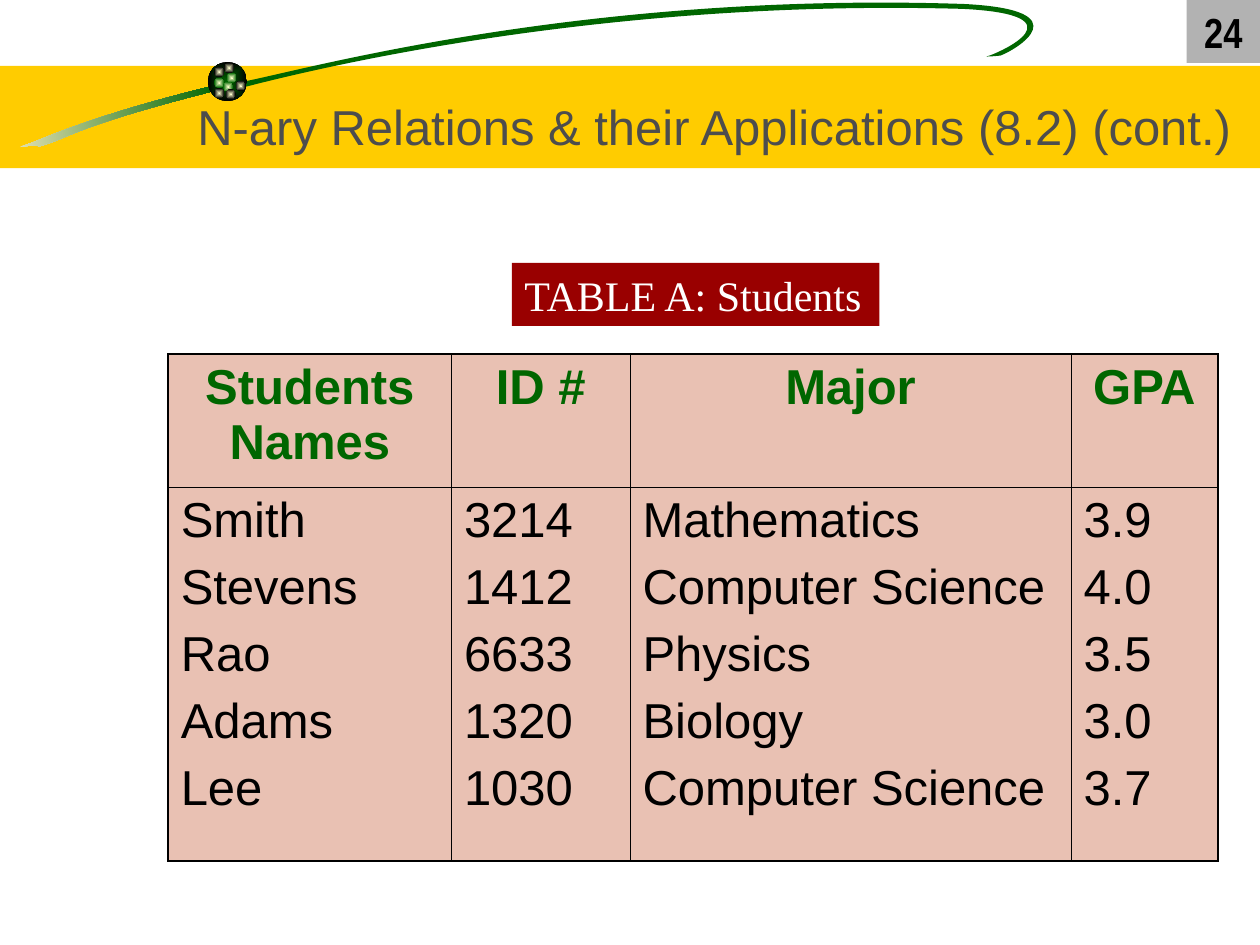
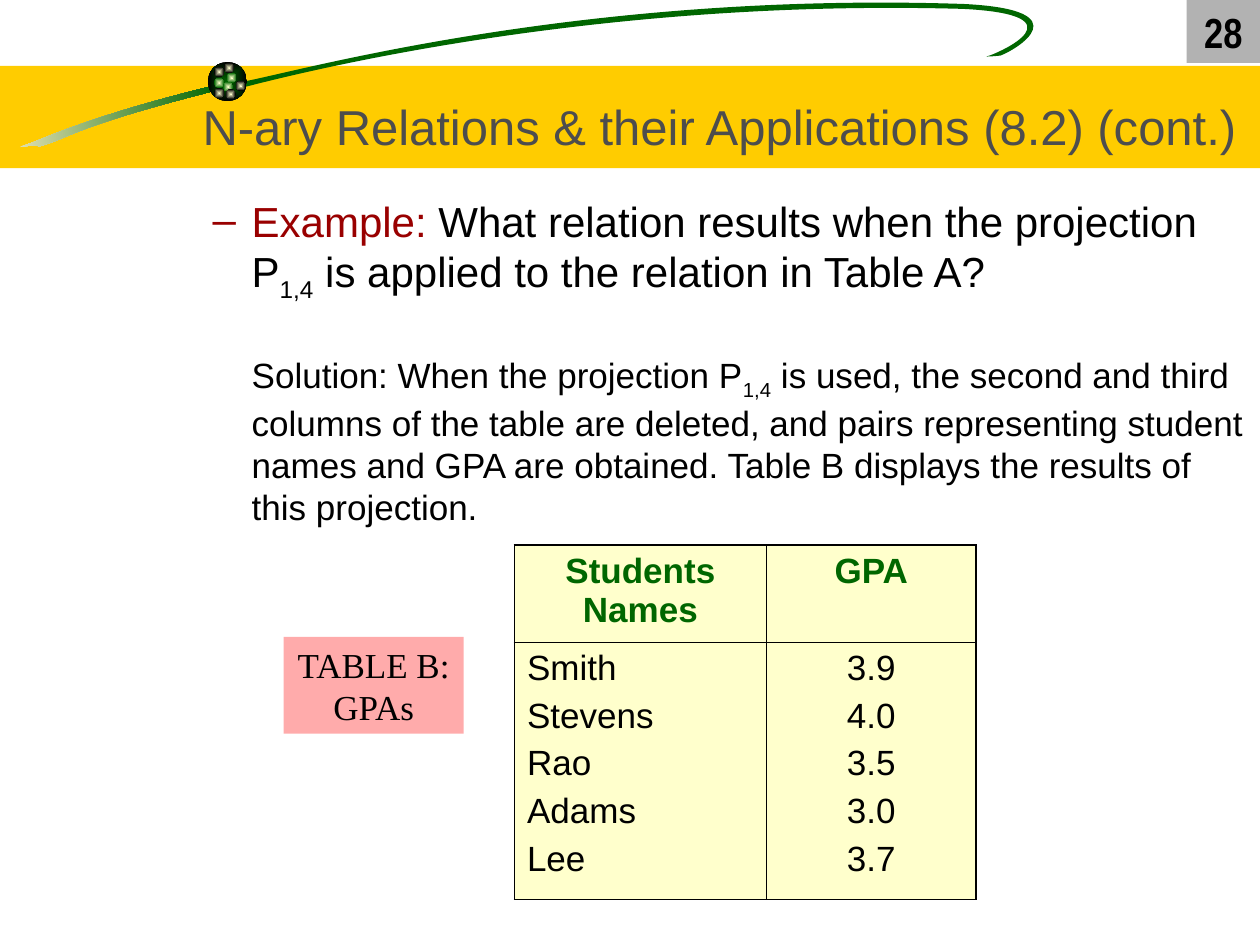
from dataclasses import dataclass
from math import cos, radians, sin

from pptx import Presentation
from pptx.dml.color import RGBColor
from pptx.enum.shapes import MSO_SHAPE
from pptx.enum.text import MSO_ANCHOR, MSO_AUTO_SIZE, PP_ALIGN
from pptx.oxml.ns import qn
from pptx.oxml.xmlchemy import OxmlElement
from pptx.presentation import Presentation as Deck
from pptx.shapes.autoshape import Shape
from pptx.slide import Slide
from pptx.table import _Cell as Cell
from pptx.text.text import _Paragraph as Paragraph
from pptx.util import Cm, Pt


@dataclass(frozen=True)
class Theme:
    band: str = "FFCC00"
    green: str = "006600"
    black: str = "000000"
    white: str = "FFFFFF"
    sand: str = "F5EBC1"
    cream: str = "FFFFCC"
    gray: str = "B2B2B2"
    title: str = "4D4D4D"
    crimson: str = "990000"
    pink: str = "FFABAB"
    salmon: str = "E9C1B3"
    sans: str = "Arial"
    narrow: str = "Arial Narrow"
    serif: str = "Times New Roman"
    large: int = 28
    medium: int = 24
    small: int = 20
    outer_border: float = 1.08
    inner_border: float = 0.45


@dataclass(frozen=True)
class Box:
    left: float
    top: float
    width: float
    height: float

    def lengths(self) -> tuple[Cm, Cm, Cm, Cm]:
        return Cm(self.left), Cm(self.top), Cm(self.width), Cm(self.height)


@dataclass(frozen=True)
class Spot:
    left: float
    top: float
    edge: str


@dataclass(frozen=True)
class Outline:
    center: tuple[float, float]
    points: tuple[tuple[float, float], ...]


@dataclass(frozen=True)
class Column:
    header: str
    values: tuple[str, ...]
    width: float
    align: PP_ALIGN = PP_ALIGN.LEFT


@dataclass(frozen=True)
class Grid:
    left: float
    top: float
    row_heights: tuple[float, float]
    columns: tuple[Column, ...]
    fill: str
    size: int
    gap: int


@dataclass(frozen=True)
class Label:
    box: Box
    text: str
    fill: str
    color: str
    size: int
    align: PP_ALIGN


THEME = Theme()
TITLE = "N-ary Relations & their Applications (8.2) (cont.)"
BAND = Box(0, 1.33, 25.4, 2.06)
PAGE_NUMBER = Box(23.92, 0, 1.48, 1.27)
BALL = Box(4.19, 1.25, 0.79, 0.79)
SPOT_SIZE = 0.2
SPOTS = (
    Spot(4.57, 1.47, THEME.green),
    Spot(4.32, 1.35, THEME.black),
    Spot(4.32, 1.57, THEME.green),
    Spot(4.5, 1.65, THEME.green),
    Spot(4.75, 1.63, THEME.black),
    Spot(4.55, 1.8, THEME.black),
    Spot(4.32, 1.78, THEME.black),
    Spot(4.52, 1.27, THEME.black),
)
TILT = 8.5
TAIL = Outline((2.18, 2.4), (
    (4.29, 1.73),
    (2.21, 2.24), (1.22, 2.64), (0.66, 2.87),
    (0.08, 3.07), (0.69, 2.87), (0.79, 2.95),
    (1.4, 2.79), (1.42, 2.57), (4.32, 1.83),
    (4.32, 1.83), (4.29, 1.73), (4.29, 1.73),
))
SWEEP = Outline((13.36, 0.84), (
    (4.88, 1.65),
    (5.92, 1.47), (11.63, -0.18), (19.43, 0.08),
    (21.87, 0.2), (20.45, 1.02), (20.17, 1.12),
    (20.17, 1.12), (19.99, 1.14), (19.89, 1.14),
    (20.14, 1.07), (21.87, 0.3), (19.41, 0.18),
    (13.11, 0), (7.7, 1.04), (4.95, 1.75),
    (4.95, 1.75), (4.88, 1.65), (4.88, 1.65),
))

NAMES = ("Smith", "Stevens", "Rao", "Adams", "Lee")
IDS = ("3214", "1412", "6633", "1320", "1030")
MAJORS = ("Mathematics", "Computer Science", "Physics", "Biology", "Computer Science")
GRADES = ("3.9", "4.0", "3.5", "3.0", "3.7")
STUDENTS = Grid(3.39, 7.14, (2.68, 7.54), (
    Column("Students Names", NAMES, 5.71),
    Column("ID #", IDS, 3.6),
    Column("Major", MAJORS, 8.89),
    Column("GPA", GRADES, 2.96),
), THEME.salmon, THEME.large, 7)
GPAS = Grid(10.37, 10.99, (1.96, 5.18), (
    Column("Students Names", NAMES, 5.08),
    Column("GPA", GRADES, 4.23, PP_ALIGN.CENTER),
), THEME.cream, THEME.small, 5)
STUDENTS_LABEL = Label(Box(10.32, 5.3, 7.41, 1.27), "TABLE A: Students",
                       THEME.crimson, THEME.white, THEME.medium, PP_ALIGN.LEFT)
GPAS_LABEL = Label(Box(5.72, 12.84, 3.63, 1.95), "TABLE B:\nGPAs",
                   THEME.pink, THEME.black, THEME.small, PP_ALIGN.CENTER)


def write(para: Paragraph, text: str, *, size: int, color: str = THEME.black,
          font: str = THEME.sans, bold: bool = False, subscript: bool = False) -> None:
    for index, line in enumerate(text.split("\n")):
        if index:
            para.add_line_break()
        span = para.add_run()
        span.text = line
        span.font.name = font
        span.font.size = Pt(size)
        span.font.bold = bold
        span.font.color.rgb = RGBColor.from_string(color)
        if subscript:
            span.font._element.set("baseline", "-25000")


def paint(shape: Shape, color: str) -> Shape:
    shape.shadow.inherit = False
    shape.line.fill.background()
    shape.fill.solid()
    shape.fill.fore_color.rgb = RGBColor.from_string(color)
    return shape


def blend(shape: Shape, first: str, last: str, from_center: bool) -> None:
    shape.fill.gradient()
    shape.fill.gradient_angle = 0
    for stop, color in zip(shape.fill.gradient_stops, (first, last)):
        stop.color.rgb = RGBColor.from_string(color)
    if from_center:
        gradient = shape.element.spPr.find(qn("a:gradFill"))
        gradient.remove(gradient.find(qn("a:lin")))
        center = OxmlElement("a:path")
        center.set("path", "rect")
        target = OxmlElement("a:fillToRect")
        for side in "ltrb":
            target.set(side, "50000")
        center.append(target)
        gradient.append(center)


def add_preset(page: Slide, box: Box, color: str,
               kind: MSO_SHAPE = MSO_SHAPE.RECTANGLE) -> Shape:
    return paint(page.shapes.add_shape(kind, *box.lengths()), color)


def add_outline(page: Slide, outline: Outline, color: str) -> Shape:
    middle_x, middle_y = outline.center
    cosine, sine = cos(radians(TILT)), sin(radians(TILT))
    start, *controls = [
        (Cm(middle_x + (x - middle_x) * cosine - (y - middle_y) * sine),
         Cm(middle_y + (x - middle_x) * sine + (y - middle_y) * cosine))
        for x, y in outline.points
    ]
    builder = page.shapes.build_freeform(*start)
    builder.add_line_segments(controls, close=True)
    shape = paint(builder.convert_to_shape(), color)
    shape.rotation = 360 - TILT
    route = next(shape.element.iter(qn("a:path")))
    lines = route.findall(qn("a:lnTo"))
    for first in range(0, len(lines), 3):
        curve = OxmlElement("a:cubicBezTo")
        lines[first].addprevious(curve)
        for line in lines[first:first + 3]:
            curve.append(line[0])
            route.remove(line)
    return shape


def decorate_master(deck: Deck, page: Slide) -> None:
    band = add_preset(page, BAND, THEME.band)
    tail = add_outline(page, TAIL, THEME.green)
    blend(tail, THEME.sand, THEME.green, from_center=False)
    sweep = add_outline(page, SWEEP, THEME.green)
    ball = add_preset(page, BALL, THEME.black, MSO_SHAPE.OVAL)
    blend(ball, THEME.green, THEME.black, from_center=True)
    ornaments = [band, tail, sweep, ball]
    for spot in SPOTS:
        dot = add_preset(page, Box(spot.left, spot.top, SPOT_SIZE, SPOT_SIZE),
                         spot.edge, MSO_SHAPE.OVAL)
        blend(dot, THEME.cream, spot.edge, from_center=True)
        ornaments.append(dot)
    tree = deck.slide_master.shapes.element
    for index, shape in enumerate(ornaments):
        shape.element.nvSpPr.cNvPr.set("id", str(100 + index))
        tree.insert(2 + index, shape.element)


def place(placeholder: Shape, box: Box, anchor: MSO_ANCHOR) -> Paragraph:
    placeholder.left, placeholder.top, placeholder.width, placeholder.height = box.lengths()
    frame = placeholder.text_frame
    frame.word_wrap = True
    frame.auto_size = MSO_AUTO_SIZE.NONE
    frame.vertical_anchor = anchor
    return frame.paragraphs[0]


def add_heading(page: Slide, number: int, left: float) -> None:
    corner = add_preset(page, PAGE_NUMBER, THEME.gray)
    para = corner.text_frame.paragraphs[0]
    para.alignment = PP_ALIGN.CENTER
    write(para, str(number), size=THEME.medium, font=THEME.narrow, bold=True)
    para = place(page.shapes.title, Box(left, 1.47, 25.4 - left, 2.12), MSO_ANCHOR.MIDDLE)
    para.alignment = PP_ALIGN.CENTER
    write(para, TITLE, size=THEME.large, color=THEME.title)


def add_label(page: Slide, label: Label) -> None:
    frame = add_preset(page, label.box, label.fill).text_frame
    frame.word_wrap = True
    para = frame.paragraphs[0]
    para.alignment = label.align
    write(para, label.text, size=label.size, color=label.color, font=THEME.serif)


def set_border(cell: Cell, side: str, width: float) -> None:
    line = OxmlElement(f"a:ln{side}")
    line.set("w", str(Pt(width)))
    fill = OxmlElement("a:solidFill")
    color = OxmlElement("a:srgbClr")
    color.set("val", THEME.black)
    fill.append(color)
    line.append(fill)
    cell._tc.get_or_add_tcPr().append(line)


def add_grid(page: Slide, grid: Grid) -> None:
    box = Box(grid.left, grid.top, sum(column.width for column in grid.columns),
              sum(grid.row_heights))
    table = page.shapes.add_table(2, len(grid.columns), *box.lengths()).table
    table.horz_banding = False
    for row, height in zip(table.rows, grid.row_heights):
        row.height = Cm(height)
    last = len(grid.columns) - 1
    for column_index, column in enumerate(grid.columns):
        table.columns[column_index].width = Cm(column.width)
        for row_index, lines in enumerate(((column.header,), column.values)):
            is_header = row_index == 0
            cell = table.cell(row_index, column_index)
            edges = {"L": column_index == 0, "R": column_index == last,
                     "T": is_header, "B": not is_header}
            for side, is_outer in edges.items():
                set_border(cell, side, THEME.outer_border if is_outer else THEME.inner_border)
            cell.fill.solid()
            cell.fill.fore_color.rgb = RGBColor.from_string(grid.fill)
            for index, line in enumerate(lines):
                para = cell.text_frame.add_paragraph() if index else cell.text_frame.paragraphs[0]
                para.alignment = PP_ALIGN.CENTER if is_header else column.align
                para.space_before = Pt(grid.gap)
                write(para, line, size=grid.size, bold=is_header,
                      color=THEME.green if is_header else THEME.black)


def format_item(para: Paragraph, space_before: int, bullet: str = "") -> None:
    para.level = 1
    para.space_before = Pt(space_before)
    properties = para._p.get_or_add_pPr()
    properties.set("marL", str(Cm(2.06)))
    properties.set("indent", str(Cm(-0.79) if bullet else 0))
    if not bullet:
        properties.append(OxmlElement("a:buNone"))
        return
    tint, color = OxmlElement("a:buClr"), OxmlElement("a:srgbClr")
    color.set("val", THEME.crimson)
    tint.append(color)
    mark = OxmlElement("a:buChar")
    mark.set("char", bullet)
    properties.extend((tint, mark))


def add_example(page: Slide) -> None:
    body = page.placeholders[1]
    question = place(body, Box(2.76, 3.81, 22.64, 7.62), MSO_ANCHOR.TOP)
    format_item(question, 5, "–")
    write(question, "Example:", size=THEME.medium, color=THEME.crimson)
    write(question, " What relation results when the projection P", size=THEME.medium)
    write(question, "1,4", size=THEME.medium, subscript=True)
    write(question, " is applied to the relation in Table A?", size=THEME.medium)
    solution = body.text_frame.add_paragraph()
    format_item(solution, 29)
    write(solution, "Solution: When the projection P", size=THEME.small)
    write(solution, "1,4", size=THEME.small, subscript=True)
    write(solution, " is used, the second and third columns of the table are deleted, "
          "and pairs representing student names and GPA are obtained. "
          "Table B displays the results of this projection.", size=THEME.small)


def main() -> None:
    deck = Presentation()
    deck.slide_width, deck.slide_height = Cm(25.4), Cm(19.05)

    students_page = deck.slides.add_slide(deck.slide_layouts.get_by_name("Title Only"))
    decorate_master(deck, students_page)
    add_heading(students_page, 24, 3.39)
    add_grid(students_page, STUDENTS)
    add_label(students_page, STUDENTS_LABEL)

    projection_page = deck.slides.add_slide(deck.slide_layouts.get_by_name("Title and Content"))
    add_heading(projection_page, 28, 3.6)
    add_example(projection_page)
    add_grid(projection_page, GPAS)
    add_label(projection_page, GPAS_LABEL)

    deck.save("out.pptx")


if __name__ == "__main__":
    main()
